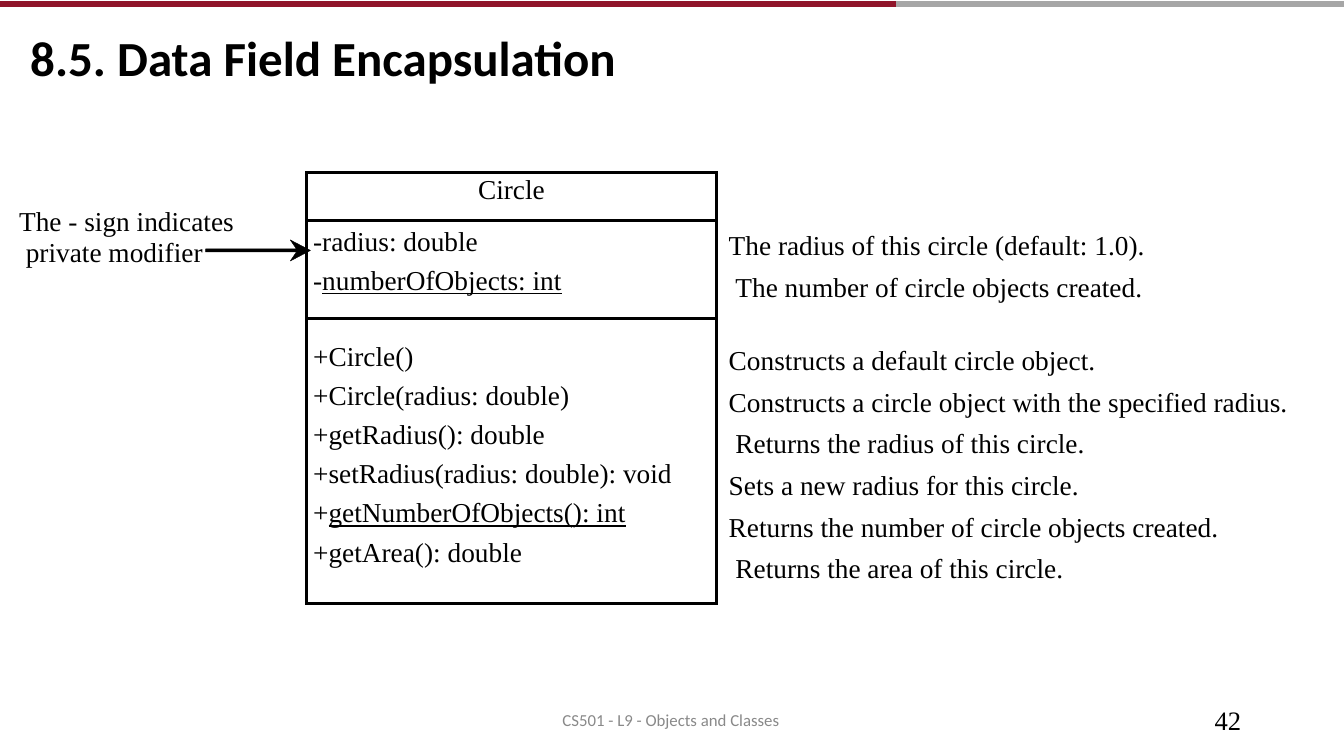
"""Build a slide on data field encapsulation with a UML class diagram."""
import dataclasses
import typing

import lxml.etree
import pptx
import pptx.dml.color
import pptx.enum.shapes
import pptx.enum.text
import pptx.oxml
import pptx.oxml.ns
import pptx.util

COLUMNS, ROWS = 160, 90
COLORS = {"ink": "000000", "crimson": "90152A", "silver": "A6A6A6", "footer": "898989"}
SERIF, SANS = "Times New Roman", "Calibri"
BODY_SIZE, BODY_LEADING = 19.5, 22.4

deck = pptx.Presentation()
deck.slide_width = pptx.util.Inches(13.333)
deck.slide_height = pptx.util.Inches(7.5)
slide = deck.slides.add_slide(deck.slide_layouts[6])


@dataclasses.dataclass(frozen=True)
class Line:
    text: str
    static: bool = False
    indent: float = 0


@dataclasses.dataclass(frozen=True)
class Style:
    size: float = BODY_SIZE
    font: str = SERIF
    color: str = "ink"
    bold: bool = False
    leading: typing.Optional[float] = BODY_LEADING
    gap: float = 0
    centered: bool = False


@dataclasses.dataclass(frozen=True)
class Block:
    left: float
    top: float
    width: float
    height: float
    inset: float
    lines: tuple[Line, ...]
    style: Style


@dataclasses.dataclass(frozen=True)
class Compartment:
    height: float
    inset: float
    lines: tuple[Line, ...]
    centered: bool = False


@dataclasses.dataclass(frozen=True)
class Stripe:
    start: float
    end: float
    color: str


def across(columns: float) -> int:
    return round(deck.slide_width * columns / COLUMNS)


def down(rows: float) -> int:
    return round(deck.slide_height * rows / ROWS)


def rgb(name: str) -> pptx.dml.color.RGBColor:
    return pptx.dml.color.RGBColor.from_string(COLORS[name])


def write_lines(frame, lines: tuple[Line, ...], style: Style) -> None:
    for index, line in enumerate(lines):
        paragraph = frame.paragraphs[0] if index == 0 else frame.add_paragraph()
        paragraph.text = line.text[0] if line.static else line.text
        if line.static:
            member = paragraph.add_run()
            member.text = line.text[1:]
            member.font.underline = True
        paragraph.alignment = (pptx.enum.text.PP_ALIGN.CENTER if style.centered
                               else pptx.enum.text.PP_ALIGN.LEFT)
        if line.indent:
            paragraph._p.get_or_add_pPr().set("marL", str(across(line.indent)))
        if style.leading:
            paragraph.line_spacing = pptx.util.Pt(style.leading)
        if index and style.gap:
            paragraph.space_before = pptx.util.Pt(style.gap)
        for run in paragraph.runs:
            run.font.size = pptx.util.Pt(style.size)
            run.font.name = style.font
            run.font.bold = style.bold
            run.font.color.rgb = rgb(style.color)


def draw_block(block: Block) -> None:
    frame = slide.shapes.add_textbox(across(block.left), down(block.top),
                                     across(block.width), down(block.height)).text_frame
    frame.word_wrap = True
    frame.margin_left = across(0.12)
    frame.margin_right = frame.margin_bottom = 0
    frame.margin_top = down(block.inset)
    write_lines(frame, block.lines, block.style)


def draw_borders(cell) -> None:
    properties = cell._tc.get_or_add_tcPr()
    for position, side in enumerate(("lnL", "lnR", "lnT", "lnB")):
        border = pptx.oxml.parse_xml(
            f'<a:{side} {pptx.oxml.ns.nsdecls("a")} w="{pptx.util.Pt(2.25)}">'
            f'<a:solidFill><a:srgbClr val="{COLORS["ink"]}"/></a:solidFill></a:{side}>')
        properties.insert(position, border)


def draw_class(left: float, top: float, width: float, parts: tuple[Compartment, ...]) -> None:
    height = sum(part.height for part in parts)
    diagram = slide.shapes.add_table(len(parts), 1, across(left), down(top),
                                     across(width), down(height)).table
    diagram.first_row = diagram.horz_banding = False
    for row, part in zip(diagram.rows, parts):
        row.height = down(part.height)
        cell = row.cells[0]
        cell.fill.background()
        cell.margin_left = 0 if part.centered else across(0.8)
        cell.margin_right = cell.margin_bottom = 0
        cell.margin_top = down(part.inset)
        write_lines(cell.text_frame, part.lines, Style(gap=5.6, centered=part.centered))
        draw_borders(cell)


def draw_stripe(stripe: Stripe) -> None:
    rule = slide.shapes.add_connector(pptx.enum.shapes.MSO_CONNECTOR.STRAIGHT,
                                      across(stripe.start), down(0.48),
                                      across(stripe.end), down(0.48))
    rule.line.color.rgb = rgb(stripe.color)
    rule.line.width = pptx.util.Pt(4)
    lxml.etree.SubElement(rule._element.spPr, pptx.oxml.ns.qn("a:effectLst"))


def draw_arrow(outline: tuple[tuple[float, float], ...]) -> None:
    points = [(across(x), down(y)) for x, y in outline]
    builder = slide.shapes.build_freeform(*points[0])
    builder.add_line_segments(points[1:], close=True)
    arrow = builder.convert_to_shape()
    arrow.shadow.inherit = False
    arrow.fill.solid()
    arrow.fill.fore_color.rgb = rgb("ink")
    arrow.line.color.rgb = rgb("ink")
    arrow.line.width = pptx.util.Pt(0.29)


CIRCLE_CLASS = (
    Compartment(5.76, 0.24, (Line("Circle"),), centered=True),
    Compartment(11.64, 0.6, (Line("-radius: double"),
                             Line("-numberOfObjects: int", static=True))),
    Compartment(33.96, 2.64, (Line("+Circle()"), Line("+Circle(radius: double)"),
                              Line("+getRadius(): double"),
                              Line("+setRadius(radius: double): void"),
                              Line("+getNumberOfObjects(): int", static=True),
                              Line("+getArea(): double"))),
)
MEANING = Style(gap=7.35)
BLOCKS = (
    Block(86.64, 26.04, 70.8, 10.32, 1.32, (
        Line("The radius of this circle (default: 1.0)."),
        Line("The number of circle objects created.", indent=0.8)), MEANING),
    Block(86.64, 39.72, 70.8, 30.24, 1.32, (
        Line("Constructs a default circle object."),
        Line("Constructs a circle object with the specified radius."),
        Line("Returns the radius of this circle.", indent=0.8),
        Line("Sets a new radius for this circle."),
        Line("Returns the number of circle objects created."),
        Line("Returns the area of this circle.", indent=0.8)), MEANING),
    Block(2.16, 24.12, 27.6, 8.04, 0.36, (
        Line("The - sign indicates"), Line("private modifier", indent=0.8)), Style()),
    Block(3.48, 3.12, 72, 7.32, 0.12, (Line("8.5. Data Field Encapsulation"),),
          Style(35, SANS, bold=True, leading=None)),
    Block(144.48, 84, 5, 3.84, 0, (Line("42"),), Style(19, leading=21.8)),
    Block(66.84, 84.36, 28, 2.76, 0.12, (Line("CS501 - L9 - Objects and Classes"),),
          Style(12, SANS, "footer", leading=None)),
)
STRIPES = (Stripe(106.67, COLUMNS, "silver"), Stripe(0, 106.67, "crimson"))
ARROW = ((24.48, 29.64), (35.3, 29.64), (34.56, 28.56), (36.96, 29.82),
         (34.56, 31.08), (35.3, 30), (24.48, 30))


def main() -> None:
    draw_class(36.48, 20.52, 48.84, CIRCLE_CLASS)
    for block in BLOCKS:
        draw_block(block)
    draw_arrow(ARROW)
    for stripe in STRIPES:
        draw_stripe(stripe)
    deck.save("out.pptx")


if __name__ == "__main__":
    main()
